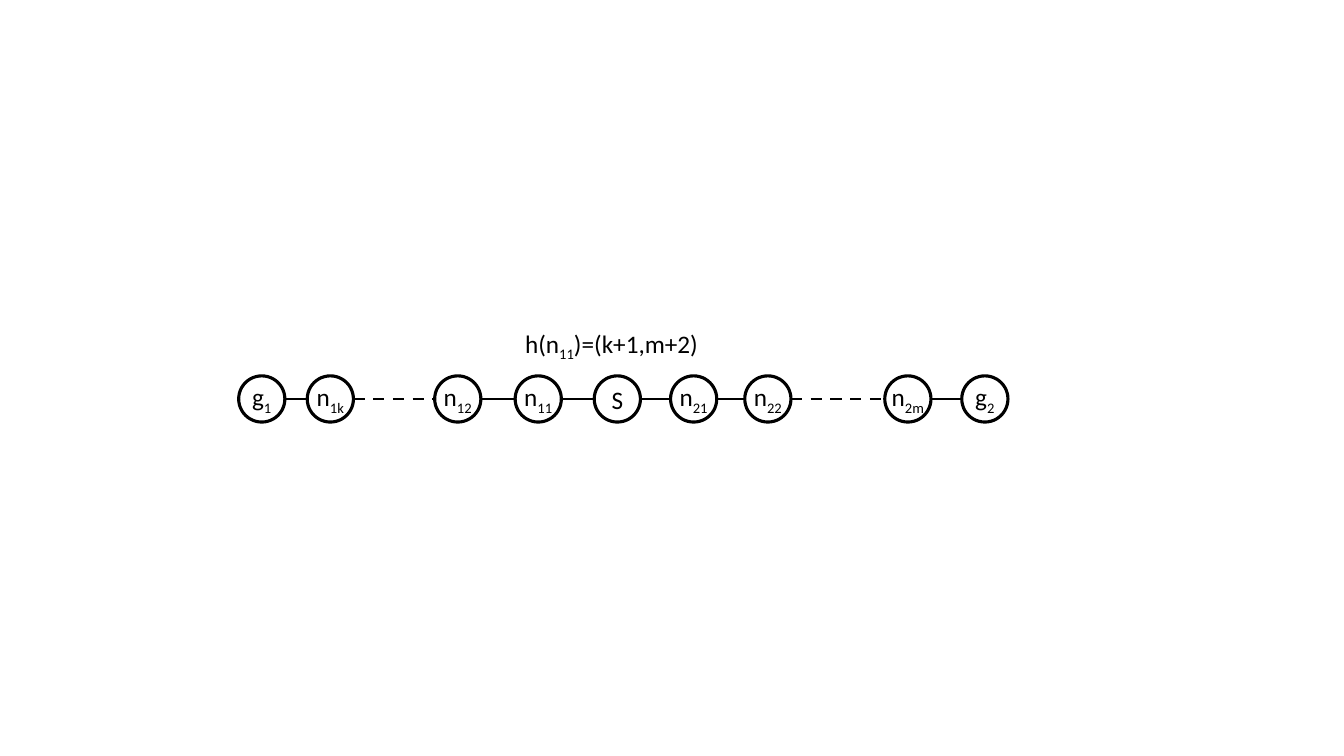
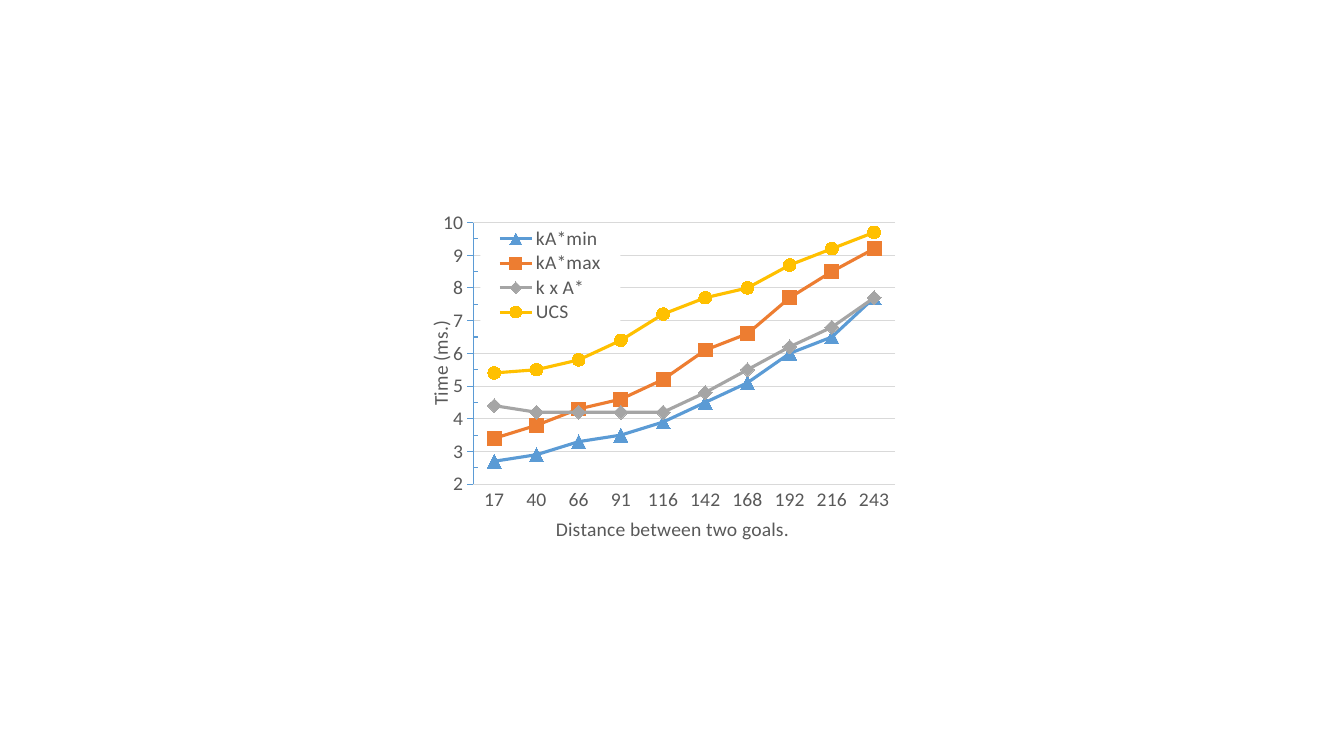
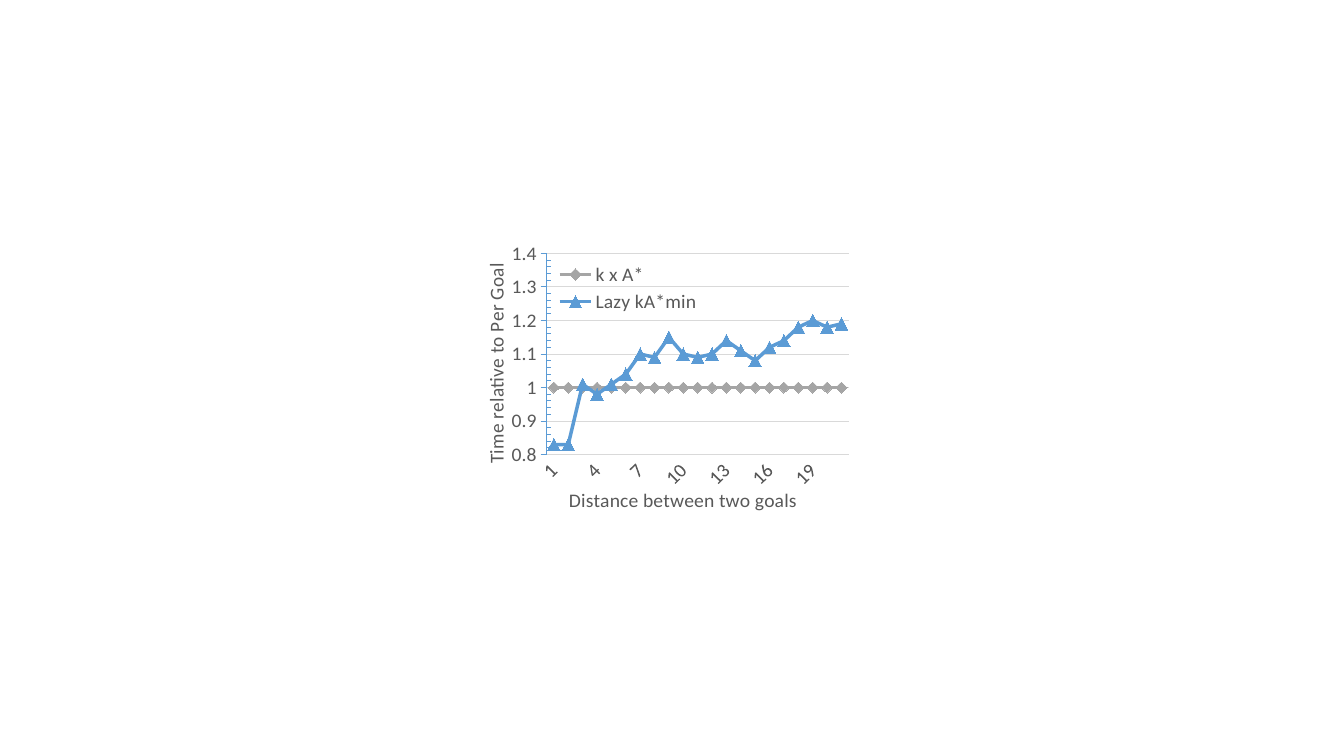
from dataclasses import dataclass
from itertools import pairwise
from typing import Any

from lxml import etree
from pptx import Presentation
from pptx.chart.data import CategoryChartData
from pptx.dml.color import RGBColor
from pptx.enum.chart import (XL_CHART_TYPE, XL_LEGEND_POSITION,
                             XL_MARKER_STYLE, XL_TICK_MARK)
from pptx.enum.dml import MSO_LINE
from pptx.enum.shapes import MSO_CONNECTOR, MSO_SHAPE
from pptx.enum.text import MSO_ANCHOR, MSO_AUTO_SIZE, PP_ALIGN
from pptx.oxml.ns import qn
from pptx.util import Pt

BLACK = RGBColor(0x00, 0x00, 0x00)
WHITE = RGBColor(0xFF, 0xFF, 0xFF)
TEXT_GRAY = RGBColor(0x59, 0x59, 0x59)
GRID_GRAY = RGBColor(0xD9, 0xD9, 0xD9)
BLUE = RGBColor(0x5B, 0x9B, 0xD5)
ORANGE = RGBColor(0xED, 0x7D, 0x31)
GRAY = RGBColor(0xA5, 0xA5, 0xA5)
GOLD = RGBColor(0xFF, 0xC0, 0x00)

LINE_MARKERS = XL_CHART_TYPE.LINE_MARKERS
LEGEND_RIGHT = XL_LEGEND_POSITION.RIGHT
TRIANGLE, SQUARE = XL_MARKER_STYLE.TRIANGLE, XL_MARKER_STYLE.SQUARE
DIAMOND, CIRCLE = XL_MARKER_STYLE.DIAMOND, XL_MARKER_STYLE.CIRCLE
TICK_NONE, TICK_IN, TICK_OUT = XL_TICK_MARK.NONE, XL_TICK_MARK.INSIDE, XL_TICK_MARK.OUTSIDE
DASH = MSO_LINE.DASH
STRAIGHT = MSO_CONNECTOR.STRAIGHT
OVAL = MSO_SHAPE.OVAL
MIDDLE, CENTER = MSO_ANCHOR.MIDDLE, PP_ALIGN.CENTER
NO_AUTOSIZE, GROW = MSO_AUTO_SIZE.NONE, MSO_AUTO_SIZE.SHAPE_TO_FIT_TEXT

FONT = "Calibri"
NODE_SIZE, NODE_TOP = 33, 268.5


@dataclass(frozen=True)
class Node:
    name: str
    sub: str
    left: float
    dashed_next: bool = False


@dataclass(frozen=True)
class Series:
    name: str
    values: tuple[float, ...]
    color: RGBColor
    marker: Any
    size: int
    width: float = 2.25


@dataclass(frozen=True)
class LineChart:
    box: tuple[float, ...]
    categories: tuple[int, ...]
    series: tuple[Series, ...]
    x_title: str
    y_title: str
    scale: dict[str, float]
    # Fractions of the chart: x, y and, where sized, width and height
    plot_at: tuple[float, ...]
    legend_at: tuple[float, ...]
    x_title_at: tuple[float, ...]
    y_title_at: tuple[float, ...]
    legend_filled: bool = False
    label_skip: int = 1


NODES = (
    Node("g", "1", 170.5), Node("n", "1k", 219.5, True),
    Node("n", "12", 310.5), Node("n", "11", 368), Node("S", "", 424.5),
    Node("n", "21", 479), Node("n", "22", 532, True),
    Node("n", "2m", 632), Node("g", "2", 687),
)

TIME_CHART = LineChart(
    box=(297.5, 148.5, 365, 242.5),
    categories=(17, 40, 66, 91, 116, 142, 168, 192, 216, 243),
    series=(
        Series("kA*min", (2.7, 2.9, 3.3, 3.5, 3.9, 4.5, 5.1, 6, 6.5, 7.7),
               BLUE, TRIANGLE, 10),
        Series("kA*max", (3.4, 3.8, 4.3, 4.6, 5.2, 6.1, 6.6, 7.7, 8.5, 9.2),
               ORANGE, SQUARE, 10),
        Series("k x A*", (4.4, 4.2, 4.2, 4.2, 4.2, 4.8, 5.5, 6.2, 6.8, 7.7),
               GRAY, DIAMOND, 10),
        Series("UCS", (5.4, 5.5, 5.8, 6.4, 7.2, 7.7, 8, 8.7, 9.2, 9.7),
               GOLD, CIRCLE, 9),
    ),
    x_title="Distance between two goals.",
    y_title="Time (ms.)",
    scale={"minimum_scale": 2, "maximum_scale": 10, "major_unit": 1, "minor_unit": 0.5},
    plot_at=(0.111, 0.044, 0.826, 0.783),
    legend_at=(0.125, 0.055, 0.274, 0.295),
    x_title_at=(0.266, 0.91),
    y_title_at=(0.013, 0.33),
    legend_filled=True,
)

RELATIVE_CHART = LineChart(
    box=(337.5, 170.5, 285, 199.5),
    categories=tuple(range(1, 22)),
    series=(
        Series("k x A*", (1,) * 21, GRAY, DIAMOND, 8),
        Series("Lazy kA*min",
               (0.83, 0.83, 1.01, 0.98, 1.01, 1.04, 1.1, 1.09, 1.15, 1.1, 1.09,
                1.1, 1.14, 1.11, 1.08, 1.12, 1.14, 1.18, 1.2, 1.18, 1.19),
               BLUE, TRIANGLE, 9, 2.5),
    ),
    x_title="Distance between two goals",
    y_title="Time relative to Per Goal",
    scale={"minimum_scale": 0.8, "maximum_scale": 1.4, "major_unit": 0.1, "minor_unit": 0.02},
    plot_at=(0.186, 0.054, 0.757, 0.734),
    legend_at=(0.2, 0.075, 0.38, 0.21),
    x_title_at=(0.233, 0.89),
    y_title_at=(0.016, 0.09),
    label_skip=3,
)


def set_attrs(obj: Any, values: dict[str, Any]) -> None:
    for name, value in values.items():
        setattr(obj, name, value)


def style_font(font: Any, size: float, color: RGBColor) -> None:
    set_attrs(font, {"name": FONT, "size": Pt(size), "bold": False})
    font.color.rgb = color


def style_line(line: Any, color: RGBColor, width: float) -> None:
    line.color.rgb = color
    line.width = Pt(width)


# Node diagram
def add_runs(p: Any, *parts: str) -> None:
    """Write runs in turn: plain, subscript, plain."""
    for i, text in enumerate(parts):
        if text:
            r = p.add_run()
            r.text = text
            style_font(r.font, 18, BLACK)
            if i % 2:
                r.font._element.set("baseline", "-25000")


def add_node(s: Any, node: Node) -> None:
    sp = s.shapes.add_shape(OVAL, Pt(node.left), Pt(NODE_TOP), Pt(NODE_SIZE), Pt(NODE_SIZE))
    sp.shadow.inherit = False
    sp.fill.solid()
    sp.fill.fore_color.rgb = WHITE
    style_line(sp.line, BLACK, 2.25)
    tf = sp.text_frame
    set_attrs(tf, {"word_wrap": False, "auto_size": NO_AUTOSIZE, "vertical_anchor": MIDDLE})
    p = tf.paragraphs[0]
    p.alignment = CENTER
    add_runs(p, node.name, node.sub)


def add_link(s: Any, a: Node, b: Node) -> None:
    y = Pt(NODE_TOP + NODE_SIZE / 2)
    link = s.shapes.add_connector(STRAIGHT, Pt(a.left + NODE_SIZE), y, Pt(b.left), y)
    style_line(link.line, BLACK, 2 if a.dashed_next else 1.5)
    if a.dashed_next:
        link.line.dash_style = DASH
    etree.SubElement(link._element.spPr, qn("a:effectLst"))


def add_label(s: Any) -> None:
    tf = s.shapes.add_textbox(Pt(368), Pt(231), Pt(141), Pt(29)).text_frame
    set_attrs(tf, {"word_wrap": False, "auto_size": GROW})
    add_runs(tf.paragraphs[0], "h(n", "11", ")=(k+1,m+2)")


# Charts
def set_layout(parent: Any, index: int, at: tuple[float, ...], inner: bool = False) -> None:
    for old in parent.findall(qn("c:layout")):
        parent.remove(old)
    layout = etree.Element(qn("c:layout"))
    manual = etree.SubElement(layout, qn("c:manualLayout"))
    values = [("layoutTarget", "inner")] if inner else []
    values += [("xMode", "edge"), ("yMode", "edge"), *zip("xywh", map(str, at))]
    for tag, value in values:
        etree.SubElement(manual, qn("c:" + tag)).set("val", value)
    parent.insert(index, layout)


def style_axis(axis: Any, title: str, at: tuple[float, ...], color: RGBColor,
               major: Any, minor: Any) -> None:
    set_attrs(axis, {"major_tick_mark": major, "minor_tick_mark": minor})
    style_font(axis.tick_labels.font, 14, TEXT_GRAY)
    style_line(axis.format.line, color, 0.75)
    p = axis.axis_title.text_frame.paragraphs[0]
    r = p.add_run()
    r.text = title
    style_font(r.font, 14, TEXT_GRAY)
    set_layout(axis.axis_title._element, 1, at)


def add_line_chart(s: Any, spec: LineChart) -> None:
    data = CategoryChartData()
    data.categories = [str(c) for c in spec.categories]
    for item in spec.series:
        data.add_series(item.name, item.values)
    chart = s.shapes.add_chart(LINE_MARKERS, *map(Pt, spec.box), data).chart
    chart.has_title = False
    style_font(chart.font, 14, BLACK)
    set_layout(chart._chartSpace.chart.plotArea, 0, spec.plot_at, inner=True)

    # Series
    plot = chart.plots[0]
    plot.vary_by_categories = False
    for series, item in zip(plot.series, spec.series):
        series.smooth = False
        style_line(series.format.line, item.color, item.width)
        marker = series.marker
        set_attrs(marker, {"style": item.marker, "size": item.size})
        marker.format.fill.solid()
        marker.format.fill.fore_color.rgb = item.color
        style_line(marker.format.line, item.color, 0.75)

    # Axes
    x_axis, y_axis = chart.category_axis, chart.value_axis
    style_axis(x_axis, spec.x_title, spec.x_title_at, GRID_GRAY, TICK_NONE, TICK_NONE)
    style_axis(y_axis, spec.y_title, spec.y_title_at, BLUE, TICK_OUT, TICK_IN)
    set_attrs(y_axis, spec.scale)
    style_line(y_axis.major_gridlines.format.line, GRID_GRAY, 0.75)
    y_axis.axis_title.text_frame._txBody.bodyPr.set("rot", "-5400000")
    if spec.label_skip > 1:
        x_axis._element.txPr.bodyPr.set("rot", "-2700000")
        skip = etree.Element(qn("c:tickLblSkip"))
        skip.set("val", str(spec.label_skip))
        x_axis._element.find(qn("c:noMultiLvlLbl")).addprevious(skip)

    # Legend
    chart.has_legend = True
    legend = chart.legend
    set_attrs(legend, {"position": LEGEND_RIGHT, "include_in_layout": False})
    style_font(legend.font, 14, TEXT_GRAY)
    set_layout(legend._element, 1, spec.legend_at)
    if spec.legend_filled:
        sp_pr = etree.Element(qn("c:spPr"))
        fill = etree.SubElement(sp_pr, qn("a:solidFill"))
        etree.SubElement(fill, qn("a:srgbClr")).set("val", str(WHITE))
        legend._element.find(qn("c:txPr")).addprevious(sp_pr)


def main() -> None:
    prs = Presentation()
    prs.slide_width, prs.slide_height = Pt(960), Pt(540)
    blank = prs.slide_layouts[6]

    s = prs.slides.add_slide(blank)
    for a, b in pairwise(NODES):
        add_link(s, a, b)
    for node in NODES:
        add_node(s, node)
    add_label(s)

    for spec in (TIME_CHART, RELATIVE_CHART):
        add_line_chart(prs.slides.add_slide(blank), spec)
    prs.save("out.pptx")


if __name__ == "__main__":
    main()
